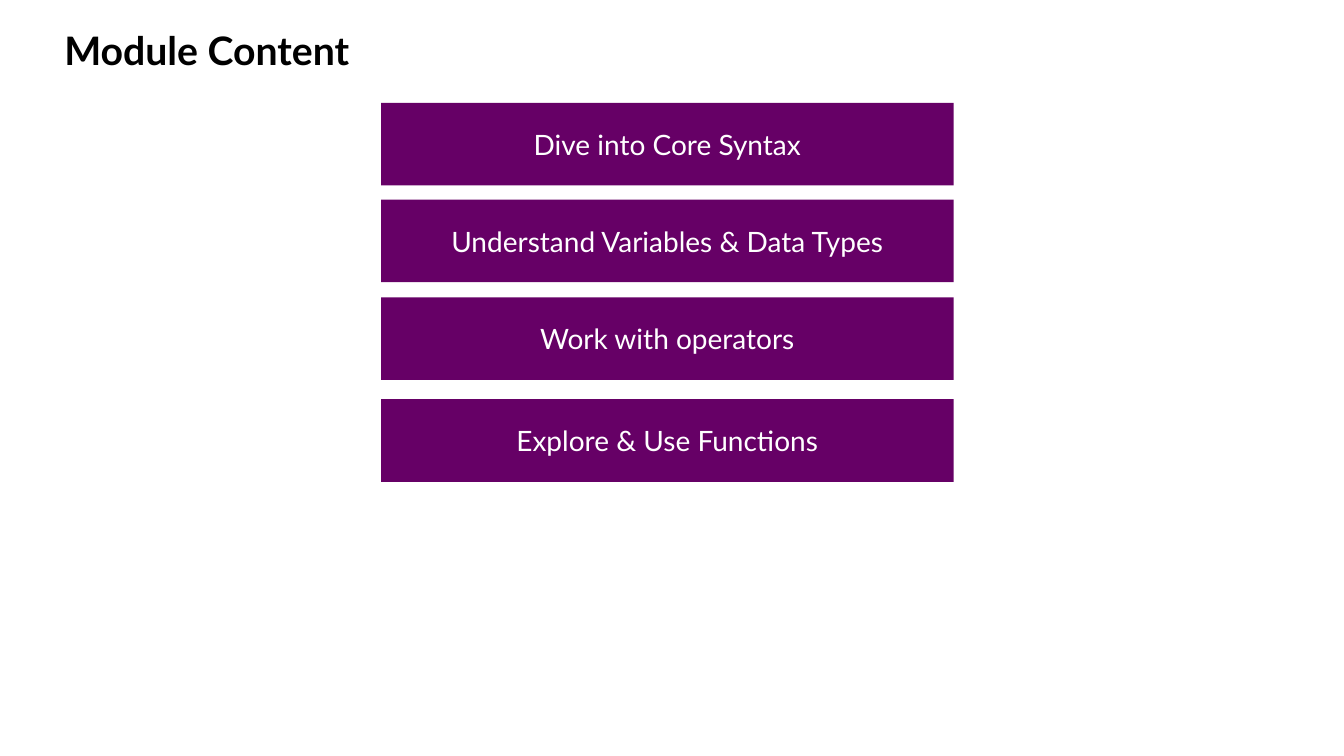
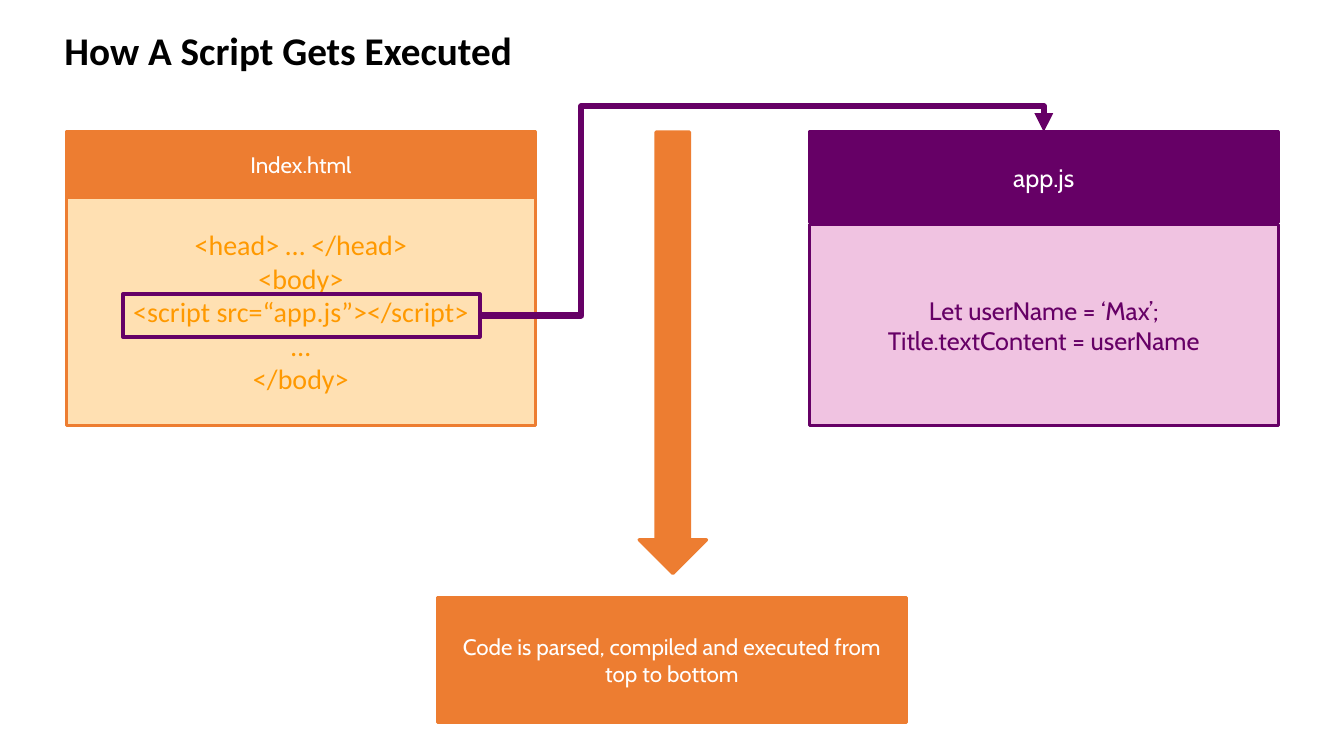
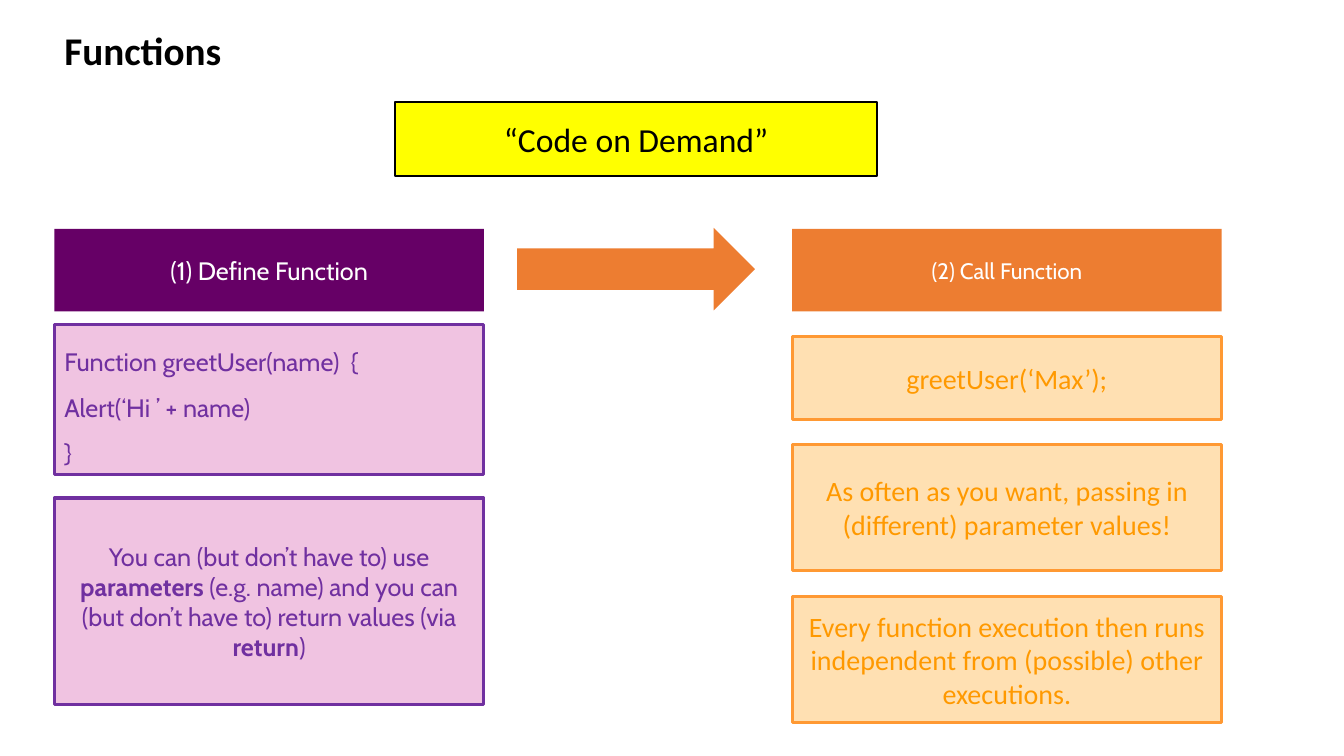
from lxml import etree
from pptx import Presentation
from pptx.dml.color import RGBColor
from pptx.enum.shapes import MSO_CONNECTOR, MSO_SHAPE
from pptx.enum.text import MSO_ANCHOR, MSO_AUTO_SIZE, PP_ALIGN
from pptx.oxml.ns import qn
from pptx.util import Inches, Pt

RECT, DOWN, RIGHT = MSO_SHAPE.RECTANGLE, MSO_SHAPE.DOWN_ARROW, MSO_SHAPE.RIGHT_ARROW
ELBOW = MSO_CONNECTOR.ELBOW
LEFT, CENTER = PP_ALIGN.LEFT, PP_ALIGN.CENTER
MIDDLE, GROW = MSO_ANCHOR.MIDDLE, MSO_AUTO_SIZE.SHAPE_TO_FIT_TEXT
SIDE_TOP, SIDE_RIGHT = 0, 3

BLACK = RGBColor(0x00, 0x00, 0x00)
WHITE = RGBColor(0xFF, 0xFF, 0xFF)
YELLOW = RGBColor(0xFF, 0xFF, 0x00)
PLUM = RGBColor(0x66, 0x00, 0x66)
VIOLET = RGBColor(0x70, 0x30, 0xA0)
PINK = RGBColor(0xCC, 0x33, 0x99)
ORANGE = RGBColor(0xED, 0x7D, 0x31)
AMBER = RGBColor(0xFF, 0x99, 0x00)
AMBER_EDGE = RGBColor(0xFF, 0x99, 0x33)

# The grid has ten cells to the inch.
CELL = Inches(0.1)
COLS, ROWS = 400 / 3, 75


def font(name, size, color, bold=False):
    return {"name": name, "size": Pt(size), "bold": bold, "color": color}


def look(fill=None, opacity=100, line=None, width=2.25, text=None):
    return {"fill": fill, "opacity": opacity, "line": line, "width": width, "text": text}


WHITE_16, WHITE_18 = font("Cabin", 16, WHITE), font("Cabin", 18, WHITE)
AMBER_TEXT = font("Calibri", 20, AMBER)

TOPIC = look(PLUM, text=font("Lato", 20, WHITE))
PLUM_HEAD = look(PLUM, text=WHITE_18)
PLUM_EDGED_HEAD = look(PLUM, line=PLUM, text=WHITE_18)
ORANGE_HEAD = look(ORANGE, text=WHITE_16)
ORANGE_EDGED_HEAD = look(ORANGE, line=ORANGE, text=WHITE_16)
MARKUP = look(AMBER, 30, ORANGE, text=AMBER_TEXT)
AMBER_NOTE = look(AMBER, 30, AMBER_EDGE, text=AMBER_TEXT)
SCRIPT = look(PINK, 29, PLUM, text=font("Cabin", 18, PLUM))
VIOLET_NOTE = look(PINK, 29, VIOLET, text=font("Cabin", 18, VIOLET))
MOTTO = look(YELLOW, line=BLACK, width=1.5, text=font("Calibri", 24, BLACK))
FRAME = look(line=PLUM, width=3)


class Deck:
    def __init__(self):
        self.prs = Presentation()
        self.prs.slide_width = round(COLS * CELL)
        self.prs.slide_height = ROWS * CELL
        self.slide = None

    def cells(self, *lengths):
        return [round(n * CELL) for n in lengths]

    def new_slide(self, title, width, face="Calibri"):
        self.slide = self.prs.slides.add_slide(self.prs.slide_layouts[6])
        sp = self.slide.shapes.add_textbox(*self.cells(5.4, 2.1, width, 5.7))
        sp.text_frame.auto_size = GROW
        self.set_text(sp.text_frame, [title], font(face, 28, BLACK, True), LEFT)

    def set_text(self, tf, lines, style, align=CENTER, spacing=None):
        """Set one paragraph per line; words between asterisks are bold."""
        tf.word_wrap = True
        for i, line in enumerate(lines):
            p = tf.paragraphs[0] if i == 0 else tf.add_paragraph()
            p.alignment, p.line_spacing = align, spacing
            for j, part in enumerate(line.split("*")):
                r = p.add_run()
                r.text = part
                for key, value in style.items():
                    if key == "color":
                        r.font.color.rgb = value
                    else:
                        setattr(r.font, key, value)
                if j % 2:
                    r.font.bold = True

    def box(self, at, style, *lines, kind=RECT, align=CENTER, spacing=None):
        sp = self.slide.shapes.add_shape(kind, *self.cells(*at))
        sp.shadow.inherit = False
        if style["fill"] is None:
            sp.fill.background()
        else:
            sp.fill.solid()
            sp.fill.fore_color.rgb = style["fill"]
            if style["opacity"] < 100:
                color = sp.element.spPr.find(qn("a:solidFill"))[0]
                etree.SubElement(color, qn("a:alpha"), val=str(style["opacity"] * 1000))
        if style["line"] is None:
            sp.line.fill.background()
        else:
            sp.line.color.rgb = style["line"]
            sp.line.width = Pt(style["width"])
        sp.text_frame.vertical_anchor = MIDDLE
        if lines:
            self.set_text(sp.text_frame, lines, style["text"], align, spacing)
        return sp

    def bent_arrow(self, source, target, color, width, bends):
        """Lead from the right of source, over and down into the top of target."""
        cxn = self.slide.shapes.add_connector(ELBOW, 0, 0, 0, 0)
        cxn.begin_connect(source, SIDE_RIGHT)
        cxn.end_connect(target, SIDE_TOP)
        cxn.line.color.rgb = color
        cxn.line.width = Pt(width)
        spPr = cxn.element.spPr
        etree.SubElement(spPr.find(qn("a:ln")), qn("a:tailEnd"), type="triangle")
        etree.SubElement(spPr, qn("a:effectLst"))
        geom = spPr.find(qn("a:prstGeom"))
        geom.set("prst", "bentConnector4")
        guides = geom.find(qn("a:avLst"))
        if guides is None:
            guides = etree.SubElement(geom, qn("a:avLst"))
        for i, share in enumerate(bends, 1):
            etree.SubElement(guides, qn("a:gd"), name=f"adj{i}",
                             fmla=f"val {round(share * 100000)}")


def module_content(deck):
    deck.new_slide("Module Content", 35.6, "Lato")
    topics = {
        10.2: "Dive into Core Syntax",
        19.8: "Understand Variables & Data Types",
        29.5: "Work with operators",
        39.6: "Explore & Use Functions",
    }
    for top, topic in topics.items():
        deck.box((37.8, top, 56.8, 8.2), TOPIC, topic)


def script_execution(deck):
    deck.new_slide("How A Script Gets Executed", 47.8)
    top, wide, page, code = 13.1, 46.5, 6.6, 80.3
    deck.box((page, top, wide, 6.5), ORANGE_EDGED_HEAD, "Index.html")
    deck.box((page, 19.6, wide, 22.6), MARKUP, "<head> … </head>", "<body>",
             "<script src=“app.js”></script>", "…", "</body>")
    app = deck.box((code, top, wide, 9), PLUM_EDGED_HEAD, "app.js")
    deck.box((code, 22.3, wide, 19.9), SCRIPT,
             "Let userName = ‘Max’;", "Title.textContent = userName")
    deck.box((63.4, top, 6.7, 43.8), ORANGE_EDGED_HEAD, kind=DOWN)
    deck.box((43.4, 59.3, wide, 12.4), ORANGE_EDGED_HEAD,
             "Code is parsed, compiled and executed from top to bottom")
    tag = deck.box((12.2, 29.2, 35.4, 4.2), FRAME)
    deck.bent_arrow(tag, app, PLUM, 4.5, (0.18, 1.14))


def functions(deck):
    deck.new_slide("Functions", 47.8)
    wide, define, call = 42.6, 5.4, 78.6
    deck.box((39.2, 10.1, 47.8, 7.4), MOTTO, "“Code on Demand”")

    deck.box((define, 22.7, wide, 8.2), PLUM_HEAD, "(1) Define Function")
    deck.box((define, 32.2, wide, 14.9), VIOLET_NOTE, "Function greetUser(name)  {",
             "Alert(‘Hi ’ + name)", "}", align=LEFT, spacing=1.5)
    deck.box((define, 49.4, wide, 20.5), VIOLET_NOTE,
             "You can (but don’t have to) use *parameters* (e.g. name) and you can "
             "(but don’t have to) return values (via *return*)")

    deck.box((51.3, 22.6, 23.6, 8.2), ORANGE_HEAD, kind=RIGHT)
    deck.box((call, 22.7, wide, 8.2), ORANGE_HEAD, "(2) Call Function")
    notes = (
        (33.4, 8.2, "greetUser(‘Max’);"),
        (44.1, 12.5, "As often as you want, passing in (different) parameter values!"),
        (59.2, 12.5, "Every function execution then runs independent from "
                     "(possible) other executions."),
    )
    for top, height, note in notes:
        deck.box((call, top, wide, height), AMBER_NOTE, note)


def main():
    deck = Deck()
    for build in (module_content, script_execution, functions):
        build(deck)
    deck.prs.save("out.pptx")


if __name__ == "__main__":
    main()
